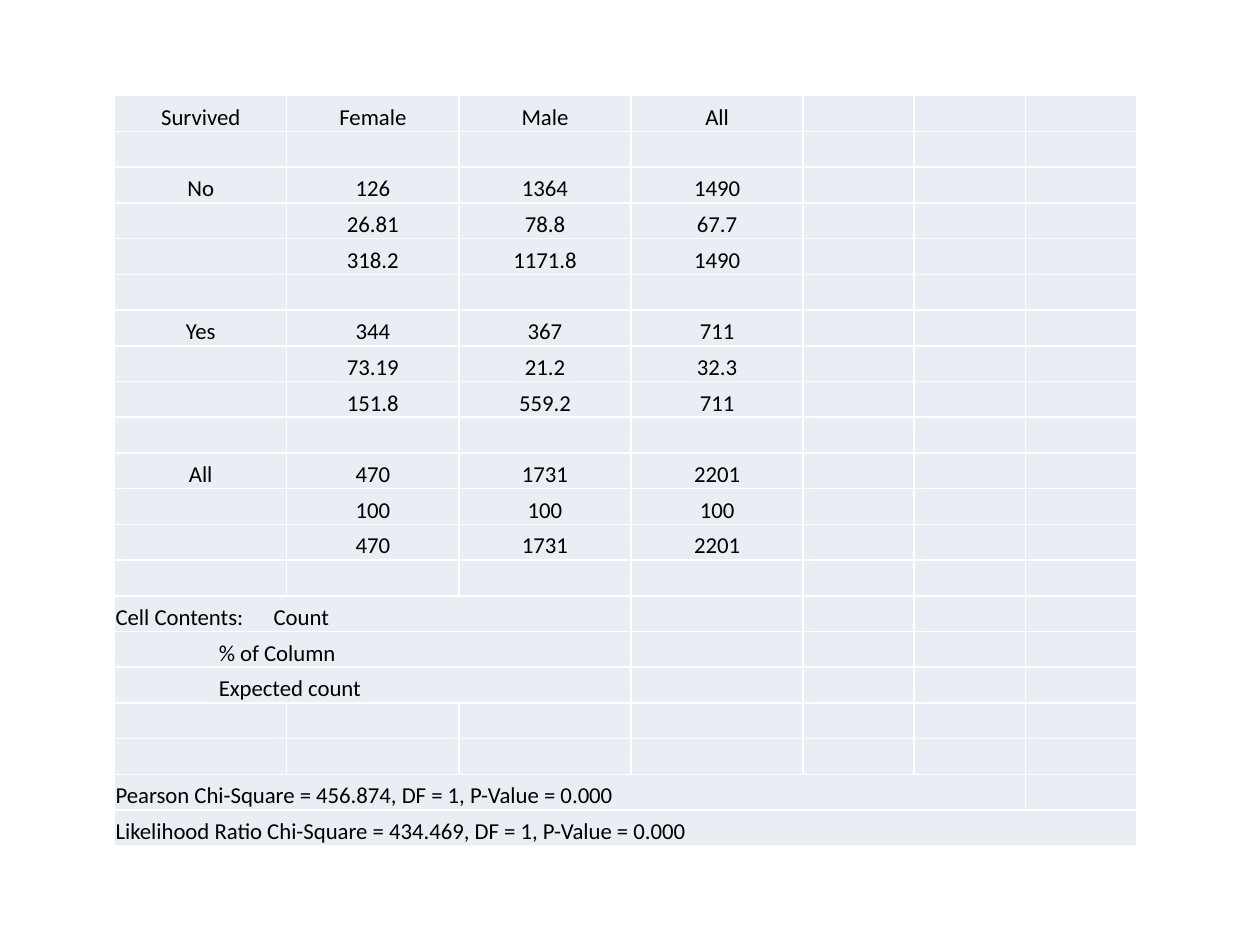
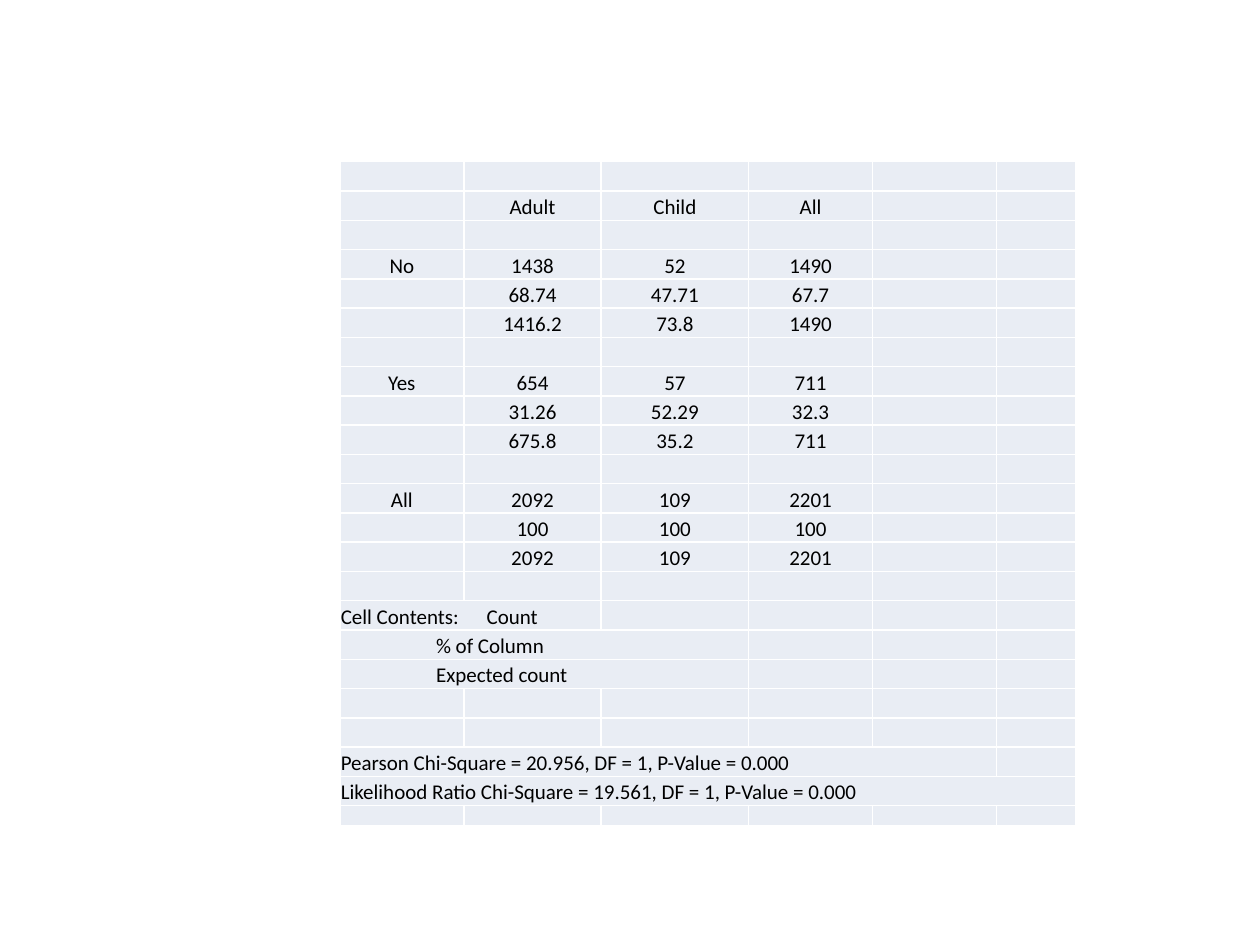
from pptx import Presentation
from pptx.dml.color import RGBColor
from pptx.enum.text import MSO_ANCHOR, PP_ALIGN
from pptx.oxml import parse_xml
from pptx.oxml.ns import nsdecls
from pptx.util import Cm, Pt

HUES = {"cell": "E9EDF4", "rule": "FFFFFF", "text": "000000"}
FACE = "Calibri"
CELL = {"vertical_anchor": MSO_ANCHOR.BOTTOM, "margin_left": Cm(0.02),
        "margin_right": Cm(0.02), "margin_top": Cm(0.02), "margin_bottom": 0}
NOTES = ["Cell Contents:\tCount", "% of Column", "Expected count"]
INDENT, STOP = 0.16, 0.245

SEX = {
    "box": (2.31, 1.93), "cols": [3.47] * 4 + [2.24] * 3,
    "row": 0.72, "size": 13, "spans": [3, 3, 3, 6, 7],
    "head": [["Survived", "Female", "Male", "All"]],
    "groups": {
        "No": [["126", "1364", "1490"], ["26.81", "78.8", "67.7"], ["318.2", "1171.8", "1490"]],
        "Yes": [["344", "367", "711"], ["73.19", "21.2", "32.3"], ["151.8", "559.2", "711"]],
        "All": [["470", "1731", "2201"], ["100", "100", "100"], ["470", "1731", "2201"]],
    },
    "tests": ["Pearson Chi-Square = 456.874, DF = 1, P-Value = 0.000",
              "Likelihood Ratio Chi-Square = 434.469, DF = 1, P-Value = 0.000"],
}
AGE = {
    "box": (6.85, 3.26), "cols": [2.5, 2.77, 2.97, 2.5, 2.5, 1.6],
    "row": 0.59, "size": 12, "spans": [2, 3, 3, 5, 6], "last": 0.41,
    "head": [[], ["", "Adult", "Child", "All"]],
    "groups": {
        "No": [["1438", "52", "1490"], ["68.74", "47.71", "67.7"], ["1416.2", "73.8", "1490"]],
        "Yes": [["654", "57", "711"], ["31.26", "52.29", "32.3"], ["675.8", "35.2", "711"]],
        "All": [["2092", "109", "2201"], ["100", "100", "100"], ["2092", "109", "2201"]],
    },
    "tests": ["Pearson Chi-Square = 20.956, DF = 1, P-Value = 0.000",
              "Likelihood Ratio Chi-Square = 19.561, DF = 1, P-Value = 0.000"],
}


def put(item, form):
    """Set each attribute named in a dict of format values."""
    for name, value in form.items():
        setattr(item, name, value)


def lay_rows(data):
    """List the rows of a cross table from top to bottom."""
    rows = data["head"] + [[]]
    for label, lines in data["groups"].items():
        rows += [[label if i == 0 else "", *line] for i, line in enumerate(lines)] + [[]]
    rows += [[note] for note in NOTES] + [[], []] + [[test] for test in data["tests"]]
    return rows + [[]] if "last" in data else rows


def dress(cell):
    """Give a cell its insets, white borders and fill."""
    put(cell, CELL)
    props = cell._tc.get_or_add_tcPr()
    for side in "LRTB":
        props.append(parse_xml(
            f'<a:ln{side} {nsdecls("a")} w="{Pt(1)}"><a:solidFill>'
            f'<a:srgbClr val="{HUES["rule"]}"/></a:solidFill></a:ln{side}>'))
    cell.fill.solid()
    cell.fill.fore_color.rgb = RGBColor.from_string(HUES["cell"])


def write(cell, text, size, align):
    """Write text in a cell, or keep an empty cell small."""
    para = cell.text_frame.paragraphs[0]
    if not text:
        para._p.append(parse_xml(f'<a:endParaRPr {nsdecls("a")} sz="800"/>'))
        return
    para.alignment = align
    run = para.add_run()
    run.text = text
    put(run.font, {"size": Pt(size), "name": FACE})
    run.font.color.rgb = RGBColor.from_string(HUES["text"])
    props = para._p.get_or_add_pPr()
    if "\t" in text:
        props.append(parse_xml(
            f'<a:tabLst {nsdecls("a")}><a:tab pos="{Cm(STOP * size)}" algn="l"/></a:tabLst>'))
    elif text in NOTES:
        props.set("marL", str(Cm(INDENT * size)))


def add_cross(slide, data):
    """Place a cross table with its notes and test results."""
    rows, cols = lay_rows(data), data["cols"]
    highs = [data["row"]] * len(rows)
    highs[-1] = data.get("last", data["row"])
    left, top = data["box"]
    table = slide.shapes.add_table(len(rows), len(cols), Cm(left), Cm(top),
                                   Cm(sum(cols)), Cm(sum(highs))).table
    put(table, {"first_row": False, "horz_banding": False})
    for col, wide in zip(table.columns, cols):
        col.width = Cm(wide)
    for row, high in zip(table.rows, highs):
        row.height = Cm(high)
    spans = iter(data["spans"])
    for r, texts in enumerate(rows):
        align = PP_ALIGN.LEFT if len(texts) == 1 else PP_ALIGN.CENTER
        for c in range(len(cols)):
            cell = table.cell(r, c)
            dress(cell)
            write(cell, texts[c] if c < len(texts) else "", data["size"], align)
        if len(texts) == 1:
            table.cell(r, 0).merge(table.cell(r, next(spans) - 1))


def main():
    """Build both slides and save the deck."""
    deck = Presentation()
    put(deck, {"slide_width": Cm(25.4), "slide_height": Cm(19.05)})
    for data in (SEX, AGE):
        add_cross(deck.slides.add_slide(deck.slide_layouts[6]), data)
    deck.save("out.pptx")


if __name__ == "__main__":
    main()
